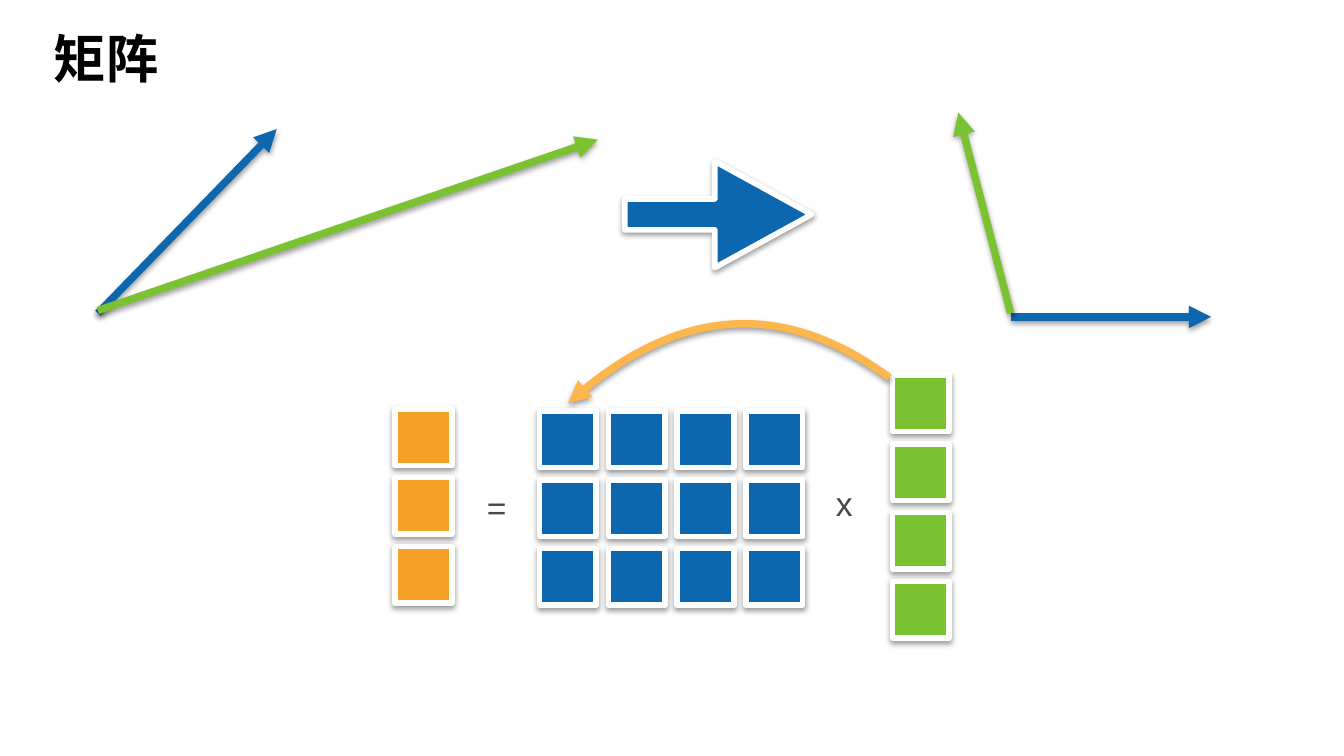
from pptx import Presentation
from pptx.dml.color import RGBColor
from pptx.enum.shapes import MSO_CONNECTOR as Link, MSO_SHAPE as Kind
from pptx.enum.text import MSO_ANCHOR as Anchor, PP_ALIGN as Align
from pptx.oxml import parse_xml
from pptx.oxml.ns import nsdecls
from pptx.util import Cm, Pt

BLUE, GREEN, ORANGE, AMBER = "0C67AE", "7BC233", "F7A028", "FCB64C"
WHITE, BLACK, GREY = "FFFFFF", "000000", "474746"
TITLE = "矩阵"
SIDE, STEP = 1.07, 1.3
GRIDS = [
    (10.2, 7.77, 3, 4, BLUE),
    (16.87, 7.09, 4, 1, GREEN),
    (7.47, 7.73, 3, 1, ORANGE),
]
SIGNS = [("=", 9.07, 9.07, 0.66), ("x", 15.67, 8.99, 0.61)]
CURVE = [(10.74, 7.62), (12.78, 5.79), (14.78, 5.64), (16.81, 7.14)]
VECTORS = [
    (1.85, 5.92, 5.23, 2.44, BLUE),
    (1.85, 5.87, 11.3, 2.64, GREEN),
    (19.1, 5.99, 22.89, 5.99, BLUE),
    (19.1, 5.92, 18.11, 2.13, GREEN),
]


def rgb(code):
    """Turn a hex string into a colour."""
    return RGBColor.from_string(code)


def style(shape, color, width, tip=None):
    """Set the line, its arrowhead and the soft shadow."""
    shape.line.color.rgb = rgb(color)
    shape.line.width = Pt(width)
    props = shape._element.spPr
    if tip:
        props.ln.append(parse_xml(f'<a:{tip} {nsdecls("a")} type="triangle"/>'))
    props.append(parse_xml(
        f'<a:effectLst {nsdecls("a")}>'
        f'<a:outerShdw blurRad="{Pt(3)}" dist="{Pt(1.6)}" dir="5400000" rotWithShape="0">'
        '<a:srgbClr val="000000"><a:alpha val="38000"/></a:srgbClr>'
        '</a:outerShdw></a:effectLst>'))


def block(slide, kind, box, color):
    """Add a filled shape with a white rim."""
    shape = slide.shapes.add_shape(kind, *map(Cm, box))
    shape.fill.solid()
    shape.fill.fore_color.rgb = rgb(color)
    style(shape, WHITE, 3)
    return shape


def write(frame, text, size, color, bold=False):
    """Fill a text frame with one line."""
    frame.margin_left = frame.margin_right = Cm(0.13)
    frame.margin_top = frame.margin_bottom = Cm(0.13)
    para = frame.paragraphs[0]
    para.text = text
    para.alignment = Align.LEFT
    font = para.font
    font.name, font.size, font.bold = "Arial", Pt(size), bold
    font.color.rgb = rgb(color)


def bezier(t):
    """Return the point of the curve at t, in slide units."""
    u = 1 - t
    parts = (u ** 3, 3 * u * u * t, 3 * u * t * t, t ** 3)
    return tuple(Cm(sum(w * v for w, v in zip(parts, axis))) for axis in zip(*CURVE))


def main():
    """Build the slide and save it."""
    deck = Presentation()
    deck.slide_width, deck.slide_height = Cm(25.4), Cm(14.29)
    slide = deck.slides.add_slide(deck.slide_layouts[5])
    shapes = slide.shapes

    title = shapes.title
    title.left, title.top, title.width, title.height = map(Cm, (0.89, 0.33, 22.78, 1.52))
    title.text_frame.vertical_anchor = Anchor.MIDDLE
    write(title.text_frame, TITLE, 28, BLACK, True)

    for left, top, rows, cols, color in GRIDS:
        for row in range(rows):
            for col in range(cols):
                box = (left + col * STEP, top + row * STEP, SIDE, SIDE)
                block(slide, Kind.RECTANGLE, box, color)

    for text, left, top, width in SIGNS:
        sign = shapes.add_textbox(*map(Cm, (left, top, width, 0.97)))
        sign.text_frame.word_wrap = False
        write(sign.text_frame, text, 18, GREY)

    pen = shapes.build_freeform(*bezier(0))
    pen.add_line_segments([bezier(i / 40) for i in range(1, 41)], close=False)
    arc = pen.convert_to_shape()
    arc.fill.background()
    style(arc, AMBER, 4, "headEnd")

    for *ends, color in VECTORS:
        line = shapes.add_connector(Link.STRAIGHT, *map(Cm, ends))
        style(line, color, 4, "tailEnd")

    arrow = block(slide, Kind.RIGHT_ARROW, (11.81, 3.05, 3.53, 2.01), BLUE)
    arrow.adjustments[0], arrow.adjustments[1] = 0.29, 0.91

    deck.save("out.pptx")


if __name__ == "__main__":
    main()
